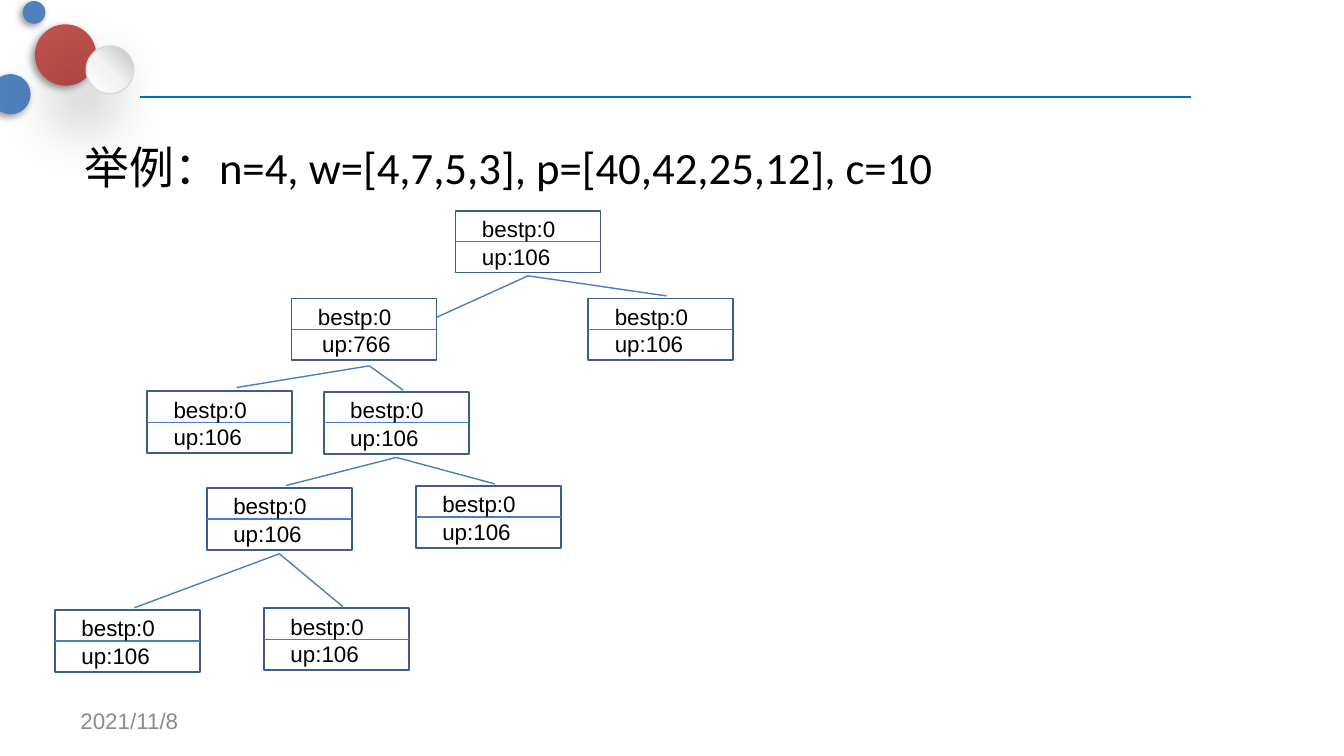
from copy import deepcopy
from dataclasses import dataclass

from lxml import etree
from pptx import Presentation
from pptx.dml.color import RGBColor
from pptx.enum.shapes import MSO_CONNECTOR, MSO_SHAPE
from pptx.enum.text import MSO_ANCHOR
from pptx.oxml import parse_xml
from pptx.oxml.ns import nsdecls, qn
from pptx.util import Cm, Pt

STRAIGHT = MSO_CONNECTOR.STRAIGHT
RECTANGLE = MSO_SHAPE.RECTANGLE
ELLIPSE = MSO_SHAPE.OVAL
TOP = MSO_ANCHOR.TOP
MIDDLE = MSO_ANCHOR.MIDDLE

Point = tuple[float, float]


@dataclass(frozen=True)
class Theme:
    rule: str = "0070C0"
    red: str = "C0504D"
    blue: str = "4F81BD"
    pearl: tuple[str, ...] = ("FFFFFF", "F2F2F2", "BFBFBF")
    pearl_edge: str = "D9D9D9"
    box_edge: str = "3A5F8C"
    branch: str = "4B7EBC"
    ink: str = "000000"
    muted: str = "8C8C8C"
    title_font: str = "Calibri"
    body_font: str = "Arial"
    title_size: float = 24
    body_size: float = 12


THEME = Theme()


@dataclass(frozen=True)
class Ball:
    left: float
    top: float
    size: float
    fill: str | None  # None gives the pearl gradient
    blur: float = 4
    distance: float = 2


@dataclass(frozen=True)
class Node:
    left: float
    top: float
    bound: str = "up:106"
    bound_indent: float = 0.25


@dataclass(frozen=True)
class Fork:
    start: Point
    ends: tuple[Point, Point]


NODE_WIDTH, NODE_HEIGHT = 2.74, 1.17
LABEL_HEIGHT = 0.76

BALLS = (
    Ball(0.66, 0.46, 1.16, THEME.red),
    Ball(-0.18, 1.4, 0.76, THEME.blue),
    Ball(1.63, 0.87, 0.9, None, 35, 20),
    Ball(0.43, 0.02, 0.43, THEME.blue),
)
NODES = (
    Node(8.61, 3.98),
    Node(5.51, 5.64, "up:766", 0.33),
    Node(11.12, 5.64),
    Node(2.78, 7.39),
    Node(6.12, 7.4),
    Node(3.91, 9.22),
    Node(7.86, 9.18),
    Node(1.04, 11.52),
    Node(4.99, 11.49),
)
FORKS = (
    Fork((9.98, 5.21), ((8.26, 5.99), (12.6, 5.59))),
    Fork((6.98, 6.91), ((4.47, 7.32), (7.62, 7.37))),
    Fork((7.49, 8.64), ((5.41, 9.17), (9.35, 9.14))),
    Fork((5.28, 10.46), ((2.54, 11.48), (6.48, 11.46))),
)


def add_line(shapes, start: Point, end: Point, color: str, width: float) -> None:
    line = shapes.add_connector(STRAIGHT, *(Cm(value) for value in start + end))
    line.line.color.rgb = RGBColor.from_string(color)
    line.line.width = Pt(width)
    etree.SubElement(line._element.spPr, qn("a:effectLst"))


def add_text(shapes, text: str, left: float, top: float, width: float, height: float,
             font: str = THEME.body_font, size: float = THEME.body_size,
             color: str = THEME.ink, anchor=TOP, wrap: bool = True) -> None:
    box = shapes.add_textbox(Cm(left), Cm(top), Cm(width), Cm(height))
    frame = box.text_frame
    frame.word_wrap = wrap
    frame.vertical_anchor = anchor
    frame.text = text
    span = frame.paragraphs[0].runs[0]
    span.font.name = font
    span.font.size = Pt(size)
    span.font.color.rgb = RGBColor.from_string(color)


def add_ball(shapes, ball: Ball) -> None:
    shape = shapes.add_shape(ELLIPSE, Cm(ball.left), Cm(ball.top), Cm(ball.size), Cm(ball.size))
    if ball.fill:
        shape.fill.solid()
        shape.fill.fore_color.rgb = RGBColor.from_string(ball.fill)
        shape.line.fill.background()
    else:
        shape.fill.gradient()
        shape.fill.gradient_angle = 45
        stop_list = shape._element.spPr.find(".//" + qn("a:gsLst"))
        stop_list.insert(1, deepcopy(stop_list[0]))
        for index, (stop, color) in enumerate(zip(shape.fill.gradient_stops, THEME.pearl)):
            stop.position = index / 2
            stop.color.rgb = RGBColor.from_string(color)
        shape.line.color.rgb = RGBColor.from_string(THEME.pearl_edge)
        shape.line.width = Pt(0.75)
    # Soft shadow towards the lower left
    shape._element.spPr.append(parse_xml(
        f'<a:effectLst {nsdecls("a")}><a:outerShdw blurRad="{Pt(ball.blur)}" '
        f'dist="{Pt(ball.distance)}" dir="8100000" algn="tr" rotWithShape="0">'
        '<a:srgbClr val="000000"><a:alpha val="40000"/></a:srgbClr>'
        '</a:outerShdw></a:effectLst>'))


def add_node(shapes, node: Node) -> None:
    parts = shapes.add_group_shape().shapes
    box = parts.add_shape(RECTANGLE, Cm(node.left), Cm(node.top), Cm(NODE_WIDTH), Cm(NODE_HEIGHT))
    box.shadow.inherit = False
    box.fill.background()
    box.line.color.rgb = RGBColor.from_string(THEME.box_edge)
    box.line.width = Pt(1)
    middle = node.top + NODE_HEIGHT / 2
    add_line(parts, (node.left, middle), (node.left + NODE_WIDTH, middle), THEME.branch, 0.75)
    add_text(parts, node.bound, node.left + node.bound_indent, node.top + 0.48,
             2.26, LABEL_HEIGHT, wrap=False)
    add_text(parts, "bestp:0", node.left + 0.25, node.top - 0.04,
             2.49, LABEL_HEIGHT, wrap=False)


def main() -> None:
    deck = Presentation()
    deck.slide_width, deck.slide_height = Cm(25.4), Cm(14.28)
    page = deck.slides.add_slide(deck.slide_layouts[6])
    shapes = page.shapes

    # Header decoration
    add_line(shapes, (2.65, 1.83), (22.5, 1.83), THEME.rule, 1.25)
    for ball in BALLS:
        add_ball(shapes, ball)

    # Date and problem statement
    add_text(shapes, "2021/11/8", 1.27, 13.23, 5.92, 0.76, color=THEME.muted, anchor=MIDDLE)
    add_text(shapes, "举例：n=4, w=[4,7,5,3], p=[40,42,25,12], c=10", 1.35, 2.51, 24.61, 1.8,
             font=THEME.title_font, size=THEME.title_size)

    # Search tree
    for node in NODES:
        add_node(shapes, node)
    for fork in FORKS:
        for end in fork.ends:
            add_line(shapes, fork.start, end, THEME.branch, 0.75)

    deck.save("out.pptx")


if __name__ == "__main__":
    main()
